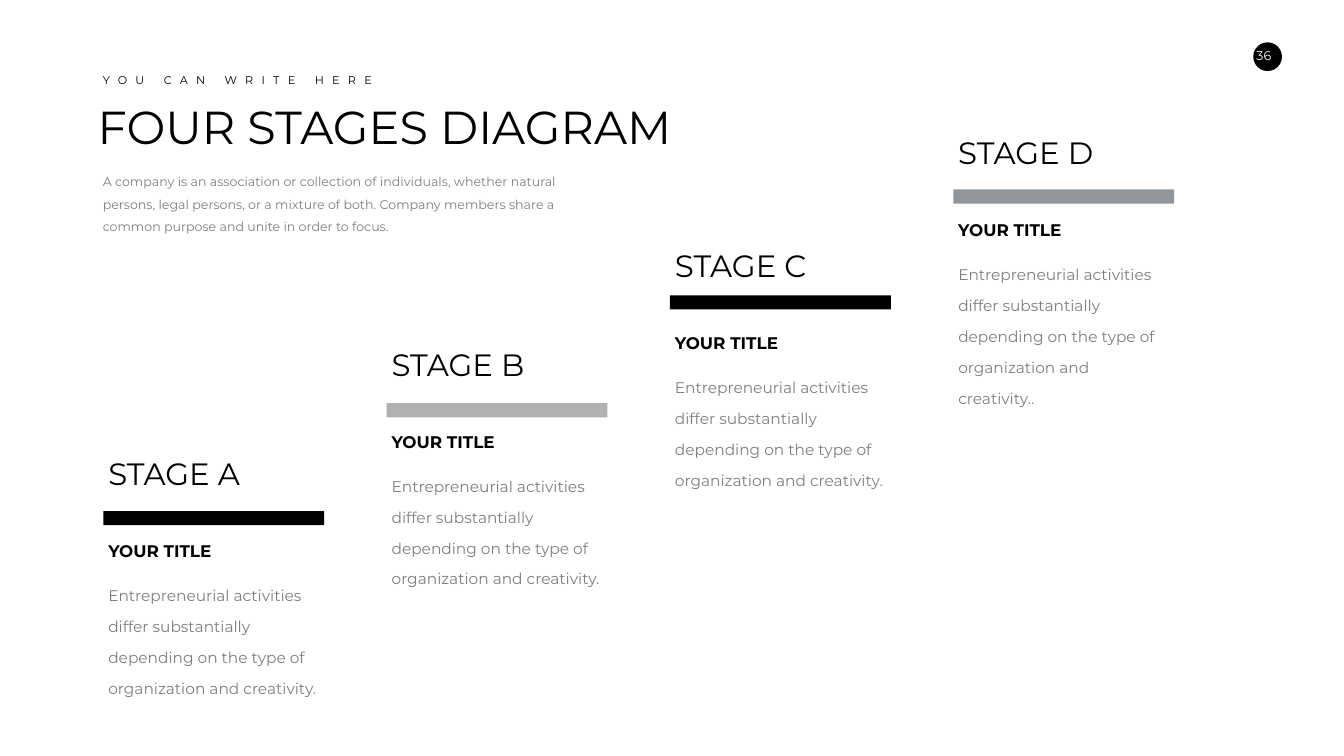
import pptx
import pptx.util
import pptx.dml.color
import pptx.enum.shapes
import pptx.enum.text

Inches = pptx.util.Inches
FONT = "Montserrat"
COLORS = {
    "black": "000000",
    "white": "FFFFFF",
    "body": "7F7F7F",
    "light": "B0B1B3",
    "slate": "91969B",
}
ACTIVITIES = ("Entrepreneurial activities differ substantially depending on "
              "the type of organization and creativity.")
INTRO = ("A company is an association or collection of individuals, whether "
         "natural persons, legal persons, or a mixture of both. Company "
         "members share a common purpose and unite in order to focus.")

# heading, heading top, bar top, bar colour, description
STAGES = [
    ("STAGE A", 8.98, 10.14, "black", ACTIVITIES),
    ("STAGE B", 6.81, 8, "light", ACTIVITIES),
    ("STAGE C", 4.85, 5.86, "black", ACTIVITIES),
    ("STAGE D", 2.61, 3.76, "slate", ACTIVITIES + "."),
]
FIRST_LEFT, STAGE_STEP, STAGE_WIDTH = 2.05, 5.62, 4.38


def rgb(color):
    return pptx.dml.color.RGBColor.from_string(COLORS[color])


def add_label(slide, box, text, size, color="black", bold=False,
              line_spacing=None, tracking=None, centred=False):
    """Add one paragraph of text; tracking is the letter spacing in points."""
    label = slide.shapes.add_textbox(*(Inches(length) for length in box))
    frame = label.text_frame
    frame.word_wrap = True
    paragraph = frame.paragraphs[0]
    if line_spacing:
        paragraph.line_spacing = line_spacing
    if centred:
        paragraph.alignment = pptx.enum.text.PP_ALIGN.CENTER
    run = paragraph.add_run()
    run.text = text
    run.font.name = FONT
    run.font.size = pptx.util.Pt(size)
    run.font.bold = bold
    run.font.color.rgb = rgb(color)
    if tracking:
        run.font._element.set("spc", str(round(tracking * 100)))
    return frame


def add_solid(slide, preset, box, color):
    solid = slide.shapes.add_shape(preset, *(Inches(length) for length in box))
    solid.shadow.inherit = False
    solid.fill.solid()
    solid.fill.fore_color.rgb = rgb(color)
    solid.line.fill.background()


def add_page_number(slide, left, top, diameter):
    add_solid(slide, pptx.enum.shapes.MSO_SHAPE.OVAL,
              (left, top, diameter, diameter), "black")
    number = add_label(slide, (left - 0.22, top + 0.02, 0.86, 0.5), "36", 18,
                       "white", centred=True)
    number.margin_top = number.margin_bottom = Inches(0.1)


def add_header(slide, left, top, width):
    add_label(slide, (left, top, width, 0.37), "YOU CAN WRITE HERE", 16,
              tracking=11.85)
    add_label(slide, (left - 0.1, top + 0.51, 13.19, 1.21),
              "FOUR STAGES DIAGRAM", 66)
    add_label(slide, (left, top + 1.85, width, 1.92), INTRO, 18, "body",
              line_spacing=1.5)


def add_stage(slide, left, top, width, heading, bar_top, bar_color, description):
    add_solid(slide, pptx.enum.shapes.MSO_SHAPE.RECTANGLE,
              (left, bar_top, width, 0.28), bar_color)
    add_label(slide, (left, top, 3, 0.84), heading, 44)
    add_label(slide, (left, top + 1.7, 2.57, 0.5), "YOUR TITLE", 24, bold=True)
    add_label(slide, (left, top + 2.36, width, 2.11), description, 22, "body",
              line_spacing=1.67)


def main():
    deck = pptx.Presentation()
    deck.slide_width, deck.slide_height = Inches(26.66), Inches(15)
    slide = deck.slides.add_slide(deck.slide_layouts[6])
    add_page_number(slide, 24.86, 0.84, 0.57)
    for index, (heading, top, bar_top, color, description) in enumerate(STAGES):
        add_stage(slide, FIRST_LEFT + index * STAGE_STEP, top, STAGE_WIDTH,
                  heading, bar_top, color, description)
    add_header(slide, 1.94, 1.4, 9.57)
    deck.save("out.pptx")


if __name__ == "__main__":
    main()
